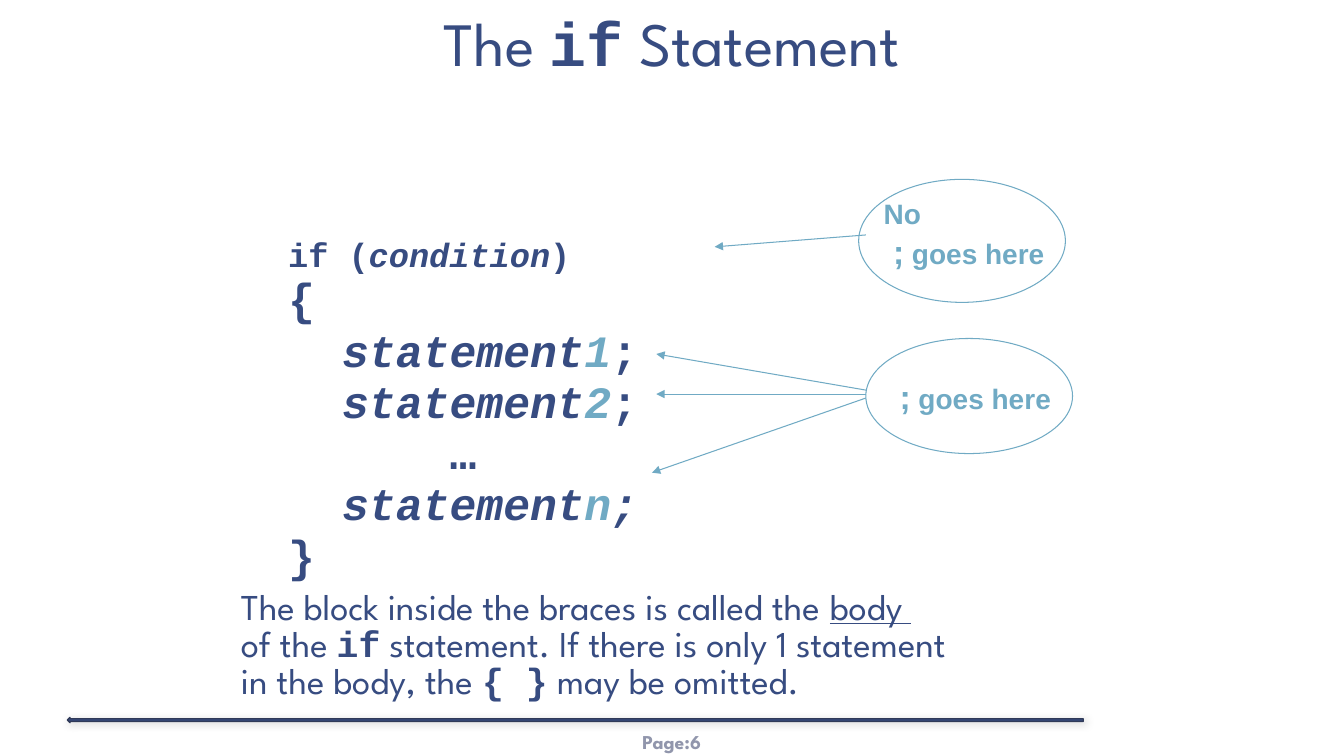
from lxml import etree
from pptx import Presentation
from pptx.dml.color import RGBColor
from pptx.enum.shapes import MSO_CONNECTOR, MSO_SHAPE
from pptx.enum.text import MSO_ANCHOR, MSO_AUTO_SIZE, PP_ALIGN
from pptx.oxml import parse_xml
from pptx.oxml.ns import qn
from pptx.util import Cm, Pt

NAVY = RGBColor(0x37, 0x4C, 0x81)
EDGE = RGBColor(0x30, 0x3A, 0x58)
SKY = RGBColor(0x70, 0xAA, 0xC4)
GREY = RGBColor(0x91, 0x96, 0xAC)

SANS, MONO, ARIAL = "League Spartan", "Courier New", "Arial"
LEFT, CENTER = PP_ALIGN.LEFT, PP_ALIGN.CENTER
TOP, MIDDLE, BOTTOM = MSO_ANCHOR.TOP, MSO_ANCHOR.MIDDLE, MSO_ANCHOR.BOTTOM
FIXED = MSO_AUTO_SIZE.NONE
OVAL, ARROW = MSO_SHAPE.OVAL, MSO_SHAPE.LEFT_ARROW
LINE = MSO_CONNECTOR.STRAIGHT

SHADOW = (
    '<a:outerShdw xmlns:a="http://schemas.openxmlformats.org/drawingml/2006/main"'
    ' blurRad="76200" dist="12700" dir="2700000">'
    '<a:srgbClr val="000000"><a:alpha val="20000"/></a:srgbClr></a:outerShdw>'
)


class Page:
    """Holds the slide and the shared style."""

    def __init__(self, deck):
        self.slide = deck.slides.add_slide(deck.slide_layouts[1])
        self.shapes = self.slide.shapes

    def place(self, shape, box):
        shape.left, shape.top, shape.width, shape.height = map(Cm, box)

    def frame(self, shape, anchor, pads):
        frame = shape.text_frame
        frame.word_wrap, frame.auto_size = True, FIXED
        frame.vertical_anchor = anchor
        (frame.margin_left, frame.margin_top,
         frame.margin_right, frame.margin_bottom) = map(Cm, pads)
        return frame

    def fill(self, frame, lines):
        """Fill a frame with (runs, format) pairs, one for each paragraph."""
        for i, (runs, look) in enumerate(lines):
            para = frame.paragraphs[0] if i == 0 else frame.add_paragraph()
            para.alignment = look.get("align", LEFT)
            para.line_spacing = look.get("space", 1.0)
            para.space_before = Pt(look.get("before", 0))
            props = para._p.get_or_add_pPr()
            props.set("marL", str(Cm(look.get("indent", 0))))
            props.set("indent", "0")
            etree.SubElement(props, qn("a:buNone"))
            for text, font, size, color, marks in runs:
                run = para.add_run()
                run.text = text
                run.font.name, run.font.size = font, Pt(size)
                run.font.color.rgb = color
                run.font.bold = "b" in marks
                run.font.italic = "i" in marks
                run.font.underline = "u" in marks

    def holder(self, index, box, anchor, pads, lines):
        shape = self.slide.placeholders[index]
        self.place(shape, box)
        self.fill(self.frame(shape, anchor, pads), lines)

    def label(self, box, lines, anchor=TOP, pads=(0.25, 0.13, 0.25, 0.13)):
        shape = self.shapes.add_textbox(*map(Cm, box))
        self.fill(self.frame(shape, anchor, pads), lines)

    def oval(self, box):
        shape = self.shapes.add_shape(OVAL, *map(Cm, box))
        shape.shadow.inherit = False
        shape.fill.background()
        shape.line.color.rgb, shape.line.width = SKY, Pt(0.75)

    def rule(self, box):
        shape = self.shapes.add_shape(ARROW, *map(Cm, box))
        shape.shadow.inherit = False
        shape.fill.solid()
        shape.fill.fore_color.rgb = NAVY
        shape.line.color.rgb, shape.line.width = EDGE, Pt(1)
        shape._element.spPr.find(qn("a:effectLst")).append(parse_xml(SHADOW))

    def arrow(self, start, end):
        line = self.shapes.add_connector(LINE, *map(Cm, start + end))
        line.line.color.rgb, line.line.width = SKY, Pt(0.75)
        props = line._element.spPr
        etree.SubElement(props.find(qn("a:ln")), qn("a:tailEnd"), type="triangle")
        etree.SubElement(props, qn("a:effectLst"))


def code(text, size=32, marks="b", color=NAVY):
    return text, MONO, size, color, marks


def prose(text, marks="", size=26):
    return text, SANS, size, NAVY, marks


def note(text, size=20):
    return text, ARIAL, size, SKY, "b"


def step(name):
    """One statement line of the block."""
    end = "bi" if name == "n" else "b"
    runs = [code("statement", marks="bi"), code(name, marks="bi", color=SKY),
            code(";", marks=end)]
    return runs, {"indent": 2.55, "space": 0.9, "before": 2}


def main():
    deck = Presentation()
    deck.slide_width, deck.slide_height = Cm(33.87), Cm(19.05)
    page = Page(deck)

    # Footer
    page.label((14.68, 18.19, 4.5, 1.02),
               [([("Page:6", SANS, 14, GREY, "b")], {"align": CENTER})],
               MIDDLE, (0.1, 0.05, 0.1, 0.05))
    page.rule((1.7, 18.08, 25.6, 0.13))

    # Title
    page.holder(0, (0, 0, 33.87, 2.18), BOTTOM, (0.33, 0.18, 0.33, 0.18), [
        ([prose("The ", size=44), code("if", 44), prose(" Statement", size=44)],
         {"align": CENTER, "space": 0.85})])

    # Code and explanation
    brace = {"indent": 1.19, "space": 0.9, "before": 2}
    tail = {"space": 0.8, "before": 1.5}
    page.holder(1, (5.82, 4.32, 22.2, 13.31), TOP, (0.25, 1.78, 0.25, 0.13), [
        ([code("if (", 24), code("condition", 24, "bi"), code(")", 24)],
         {"indent": 1.19, "space": 0.8}),
        ([code("{")], brace),
        step("1"),
        step("2"),
        ([code("…")], {**brace, "indent": 5.26}),
        step("n"),
        ([code("}")], brace),
        ([prose("The block inside the braces is called the "), prose("body ", "u")],
         {**tail, "before": 8}),
        ([prose("of the "), code("if", 26),
          prose(" statement. If there is only 1 statement")], tail),
        ([prose("in the body, the "), code("{ }", 26), prose(" may be omitted.")],
         tail)])

    # Callout: no semicolon
    page.label((21.62, 4.83, 5.59, 2.11), [
        ([note("No")], {"indent": 0.4}),
        ([note(";", 24), note(" goes here")], {"align": CENTER})])
    page.arrow((21.82, 5.92), (18.01, 6.22))
    page.oval((21.64, 4.52, 5.21, 3.1))

    # Callout: semicolon
    page.oval((21.82, 8.53, 5.21, 2.9))
    page.label((21.92, 9.35, 5.21, 1.27),
               [([note(";", 24), note(" goes here")], {"indent": 0.5})])
    for start, end in (((21.82, 10.03), (16.43, 11.91)),
                       ((21.82, 9.93), (16.54, 9.93)),
                       ((21.82, 9.83), (16.54, 8.92))):
        page.arrow(start, end)

    deck.save("out.pptx")


if __name__ == "__main__":
    main()
